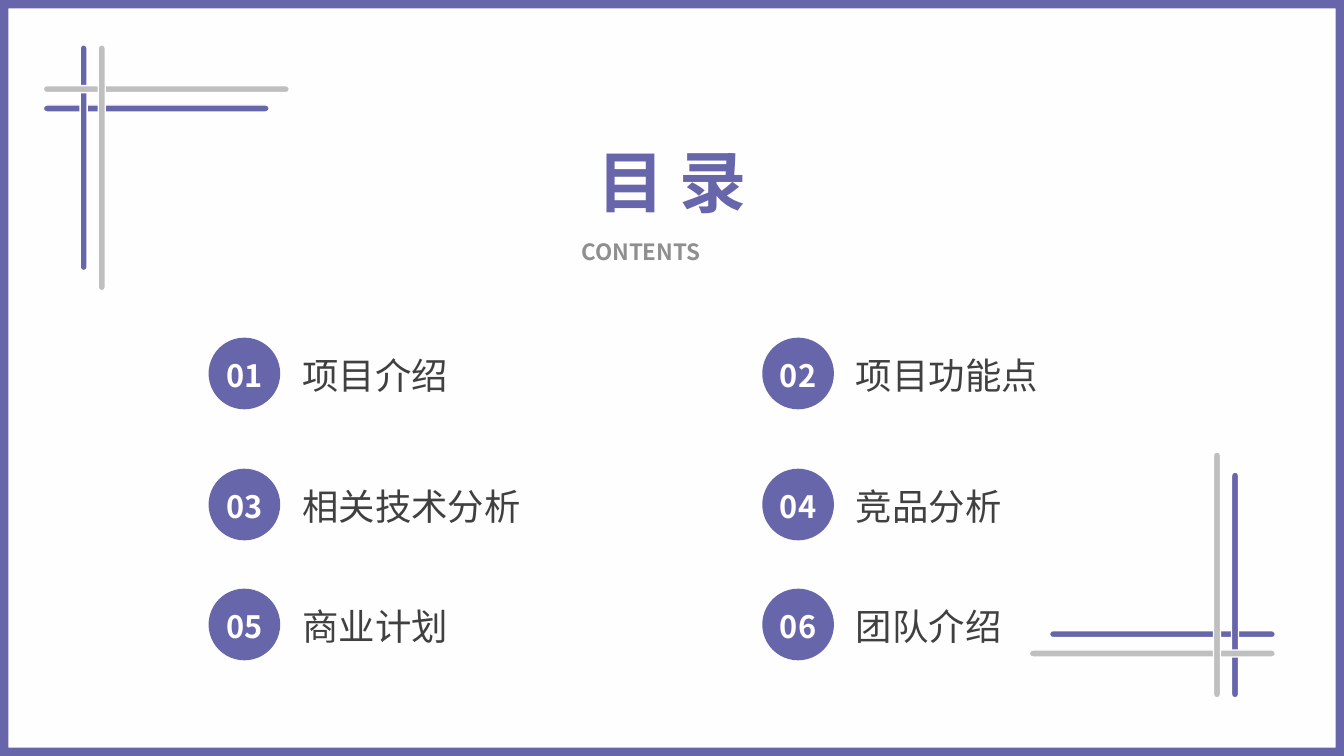
from lxml.etree import SubElement
from pptx import Presentation
from pptx.dml.color import RGBColor
from pptx.enum.shapes import MSO_SHAPE as SHAPE
from pptx.enum.text import MSO_ANCHOR as ANCHOR, MSO_AUTO_SIZE as AUTO, PP_ALIGN as ALIGN
from pptx.oxml.ns import qn
from pptx.util import Pt

FONT = "Noto Sans CJK JP"
PURPLE = RGBColor(0x68, 0x66, 0xAB)
SILVER = RGBColor(0xBF, 0xBF, 0xBF)
GRAY = RGBColor(0x8F, 0x8F, 0x8F)
DARK = RGBColor(0x40, 0x40, 0x40)
WHITE = RGBColor(0xFF, 0xFF, 0xFF)
PAPER = RGBColor(0xFE, 0xFE, 0xFE)


def add_solid(kind, box, color, line=None):
    sp = s.shapes.add_shape(kind, *map(Pt, box))
    sp.shadow.inherit = False
    sp.fill.solid()
    sp.fill.fore_color.rgb = color
    if line is None:
        sp.line.fill.background()
    else:
        sp.line.color.rgb = line
        sp.line.width = Pt(1)
    return sp


def write(sp, text, align, color, size, bold, anchor=ANCHOR.TOP):
    tf = sp.text_frame
    frame_format = {"word_wrap": True, "auto_size": AUTO.NONE, "vertical_anchor": anchor}
    for name, value in frame_format.items():
        setattr(tf, name, value)
    p = tf.paragraphs[0]
    p.alignment = align
    r = p.add_run()
    r.text = text
    r.font.color.rgb = color
    for name, value in {"name": FONT, "size": Pt(size), "bold": bold}.items():
        setattr(r.font, name, value)
    # Chinese characters take their face from the East Asian font
    SubElement(r.font._element, qn("a:ea"), typeface=FONT)


prs = Presentation()
prs.slide_width, prs.slide_height = Pt(960), Pt(540)
s = prs.slides.add_slide(prs.slide_layouts[5])
s.background.fill.solid()
s.background.fill.fore_color.rgb = PAPER

# Crossed bars: the lower right set is the upper left one turned half round
BARS = [
    (31, 75, 161.3, 5, PURPLE),
    (57.3, 32, 5, 161.3, PURPLE),
    (31, 61.2, 175.7, 5, SILVER),
    (70.2, 32, 5, 175.7, SILVER),
]
TURN_X, TURN_Y = 942, 530.5
for turned in (False, True):
    for x, y, w, h, color in BARS:
        if turned:
            x, y = TURN_X - x - w, TURN_Y - y - h
        bar = add_solid(SHAPE.ROUNDED_RECTANGLE, (x, y, w, h), color, PAPER)
        bar.adjustments[0] = 0.5

border = add_solid(SHAPE.FRAME, (0, 0, 960, 540), PURPLE)
border.adjustments[0] = 0.011

# Heading
title = s.shapes.title
title_box = {"left": 408.2, "top": 96.5, "width": 144, "height": 65.5}
for name, value in title_box.items():
    setattr(title, name, Pt(value))
write(title, "目 录", ALIGN.CENTER, PURPLE, 48, True)
subtitle = s.shapes.add_textbox(Pt(408.2), Pt(166.3), Pt(144), Pt(26.6))
write(subtitle, "CONTENTS", ALIGN.JUSTIFY, GRAY, 16, True)

# Agenda in two columns and three rows
TOPICS = ["项目介绍", "项目功能点", "相关技术分析", "竞品分析", "商业计划", "团队介绍"]
COLUMNS = (149, 544.5)
ROWS = (241.2, 334.8, 420.5)
DIAMETER = 51.2
for i, topic in enumerate(TOPICS):
    x, y = COLUMNS[i % 2], ROWS[i // 2]
    label = s.shapes.add_textbox(Pt(x + 59.8), Pt(y + 7.2), Pt(207.4), Pt(38.9))
    write(label, topic, ALIGN.LEFT, DARK, 26, False)
    badge = add_solid(SHAPE.OVAL, (x, y, DIAMETER, DIAMETER), PURPLE)
    tf = badge.text_frame
    for side, inset in {"left": 0, "right": 0, "top": 3, "bottom": 0}.items():
        setattr(tf, f"margin_{side}", Pt(inset))
    write(badge, f"{i + 1:02d}", ALIGN.CENTER, WHITE, 22, True, ANCHOR.MIDDLE)

prs.save("out.pptx")
